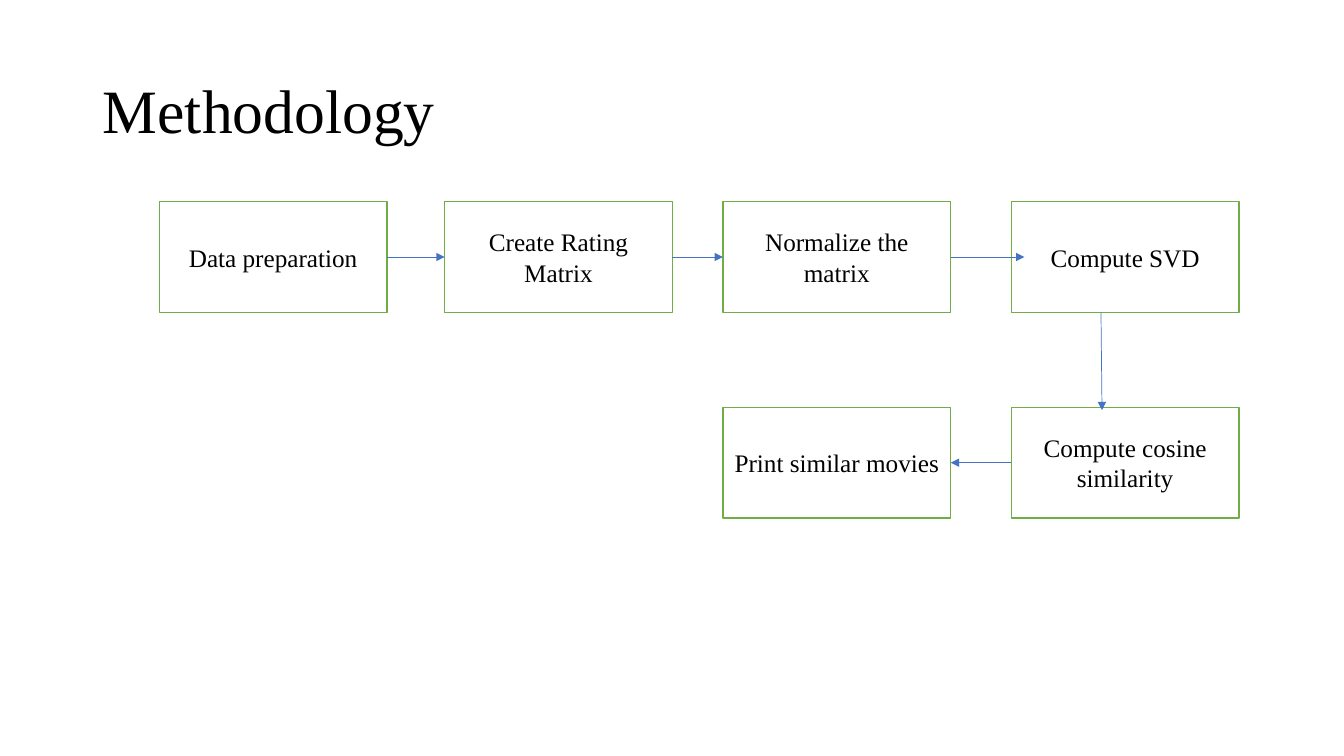
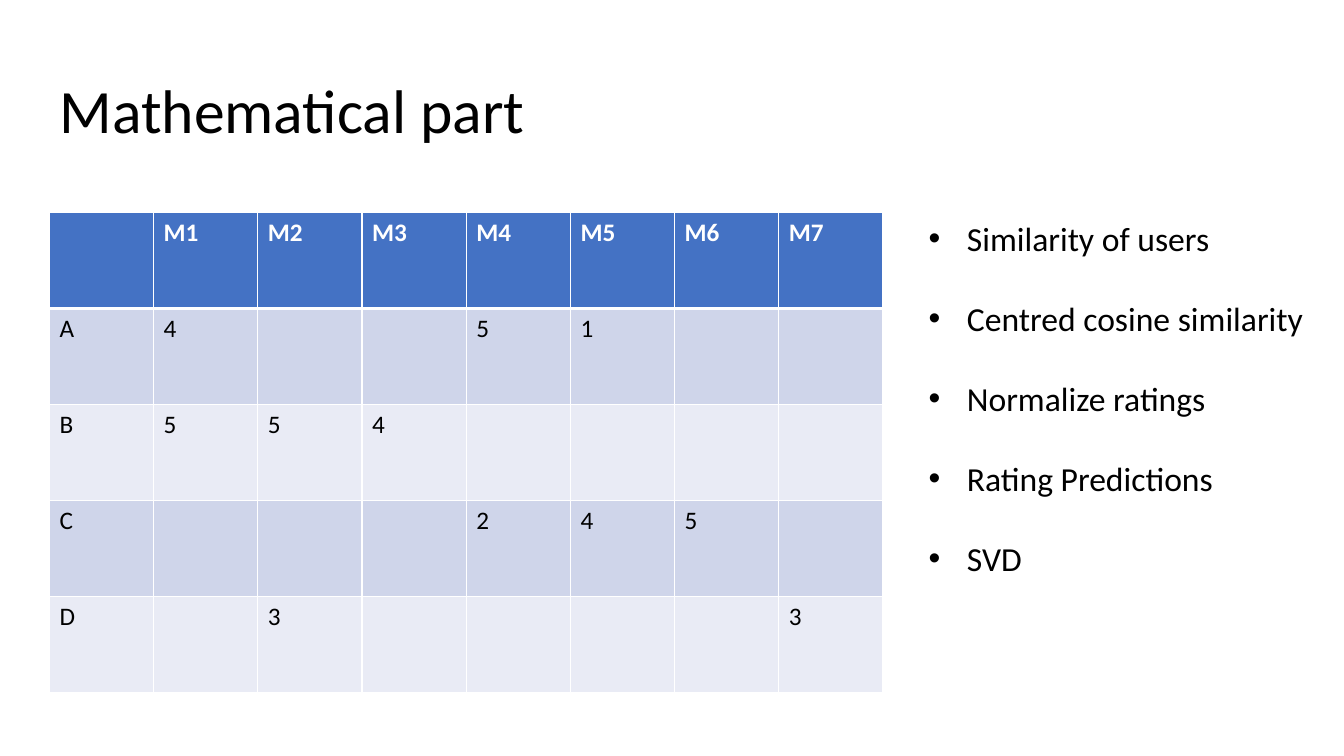
from typing import NamedTuple

from lxml import etree
from pptx import Presentation
from pptx.dml.color import RGBColor
from pptx.enum.shapes import MSO_CONNECTOR, MSO_SHAPE
from pptx.enum.text import MSO_ANCHOR, MSO_AUTO_SIZE, PP_ALIGN
from pptx.oxml.ns import qn
from pptx.util import Inches, Pt

RECTANGLE = MSO_SHAPE.RECTANGLE
STRAIGHT = MSO_CONNECTOR.STRAIGHT
LEFT, CENTER = PP_ALIGN.LEFT, PP_ALIGN.CENTER
TOP, MIDDLE = MSO_ANCHOR.TOP, MSO_ANCHOR.MIDDLE
NO_AUTOFIT = MSO_AUTO_SIZE.NONE
TITLE_ONLY, TITLE_AND_CONTENT = 5, 1

# Shared style
SERIF, SANS = "Times New Roman", "Calibri"
BLACK, WHITE, BLUE, GREEN = "000000", "FFFFFF", "4472C4", "70AD47"
BANDS = ("CFD5EA", "E9EBF5")
TITLE_TOP, TITLE_HEIGHT = 0.4, 1.45

# Flow chart grid
STEP_WIDTH, STEP_HEIGHT = 2.26, 1.1
COLUMNS = (1.58, 4.41, 7.17, 10.03)
ROWS = (2.0, 4.04)
UPPER, LOWER = (top + STEP_HEIGHT / 2 for top in ROWS)


class Step(NamedTuple):
    text: str
    column: int
    row: int


class Arrow(NamedTuple):
    x1: float
    y1: float
    x2: float
    y2: float


STEPS = (
    Step("Data preparation", 0, 0),
    Step("Create Rating Matrix", 1, 0),
    Step("Normalize the matrix", 2, 0),
    Step("Compute SVD", 3, 0),
    Step("Compute cosine similarity", 3, 1),
    Step("Print similar movies", 2, 1),
)
ARROWS = (
    Arrow(COLUMNS[0] + STEP_WIDTH, UPPER, COLUMNS[1], UPPER),
    Arrow(COLUMNS[1] + STEP_WIDTH, UPPER, COLUMNS[2], UPPER),
    Arrow(COLUMNS[2] + STEP_WIDTH, UPPER, 10.16, UPPER),
    Arrow(10.92, ROWS[0] + STEP_HEIGHT, 10.93, 4.07),
    Arrow(COLUMNS[3], LOWER, COLUMNS[2] + STEP_WIDTH, LOWER),
)
RATINGS = (
    ("", "M1", "M2", "M3", "M4", "M5", "M6", "M7"),
    ("A", "4", "", "", "5", "1", "", ""),
    ("B", "5", "5", "4", "", "", "", ""),
    ("C", "", "", "", "2", "4", "5", ""),
    ("D", "", "3", "", "", "", "", "3"),
)
TOPICS = ("Similarity of users", "Centred cosine similarity",
          "Normalize ratings", "Rating Predictions", "SVD")


def color(value: str) -> RGBColor:
    return RGBColor.from_string(value)


def set_font(para, name: str, size: float, hex_color: str = BLACK,
             bold: bool = False) -> None:
    font = para.font
    font.name, font.size, font.bold = name, Pt(size), bold
    font.color.rgb = color(hex_color)


def place(shape, left: float, top: float, width: float, height: float) -> None:
    shape.left, shape.top = Inches(left), Inches(top)
    shape.width, shape.height = Inches(width), Inches(height)


def add_page(deck, layout: int, title: str, font: str, left: float, width: float):
    """Add a slide whose title follows the common title style."""
    page = deck.slides.add_slide(deck.slide_layouts[layout])
    box = page.shapes.title
    place(box, left, TITLE_TOP, width, TITLE_HEIGHT)
    frame = box.text_frame
    frame.text = title
    frame.auto_size, frame.vertical_anchor = NO_AUTOFIT, MIDDLE
    para = frame.paragraphs[0]
    para.alignment, para.line_spacing = LEFT, 0.9
    set_font(para, font, 44)
    return page


def add_step(page, step: Step) -> None:
    box = page.shapes.add_shape(
        RECTANGLE, Inches(COLUMNS[step.column]), Inches(ROWS[step.row]),
        Inches(STEP_WIDTH), Inches(STEP_HEIGHT))
    box.shadow.inherit = False
    box.fill.solid()
    box.fill.fore_color.rgb = color(WHITE)
    box.line.color.rgb = color(GREEN)
    box.line.width = Pt(1)
    frame = box.text_frame
    frame.text = step.text
    frame.word_wrap, frame.vertical_anchor = True, MIDDLE
    para = frame.paragraphs[0]
    para.alignment = CENTER
    set_font(para, SERIF, 18)


def add_arrow(page, arrow: Arrow) -> None:
    connector = page.shapes.add_connector(STRAIGHT, *map(Inches, arrow))
    connector.line.color.rgb = color(BLUE)
    connector.line.width = Pt(0.5)
    line = connector.line._get_or_add_ln()
    etree.SubElement(line, qn("a:tailEnd"), type="triangle")
    etree.SubElement(connector._element.spPr, qn("a:effectLst"))


def set_borders(cell, top: float, bottom: float) -> None:
    """Draw white borders; must run before the cell is filled."""
    properties = cell._tc.get_or_add_tcPr()
    for side, width in (("L", 1), ("R", 1), ("T", top), ("B", bottom)):
        line = etree.SubElement(properties, qn(f"a:ln{side}"), w=str(Pt(width)))
        fill = etree.SubElement(line, qn("a:solidFill"))
        etree.SubElement(fill, qn("a:srgbClr"), val=WHITE)


def add_ratings(page) -> None:
    table = page.shapes.add_table(
        len(RATINGS), len(RATINGS[0]), Inches(0.49), Inches(2.11),
        Inches(8.27), Inches(4.76)).table
    for row, values in enumerate(RATINGS):
        header = row == 0
        for column, value in enumerate(values):
            cell = table.cell(row, column)
            set_borders(cell, top=3 if row == 1 else 1, bottom=3 if header else 1)
            cell.fill.solid()
            cell.fill.fore_color.rgb = color(BLUE if header else BANDS[(row - 1) % 2])
            cell.text = value
            set_font(cell.text_frame.paragraphs[0], SANS, 18,
                     WHITE if header else BLACK, header)


def add_topics(page) -> None:
    body = page.placeholders[1]
    place(body, 9.11, 2.11, 4.01, 3.74)
    frame = body.text_frame
    frame.text = "\n".join(TOPICS)
    frame.word_wrap, frame.auto_size = True, NO_AUTOFIT
    frame.vertical_anchor = TOP
    for para in frame.paragraphs:
        para.space_before, para.space_after = Pt(0), Pt(28.4)
        set_font(para, SANS, 24)
        properties = para._p.get_or_add_pPr()
        properties.set("marL", str(Inches(0.38)))
        properties.set("indent", str(-Inches(0.38)))


def main() -> None:
    deck = Presentation()
    deck.slide_width, deck.slide_height = Inches(13.33), Inches(7.5)

    # Methodology flow chart
    page = add_page(deck, TITLE_ONLY, "Methodology", SERIF, 0.92, 11.5)
    for step in STEPS:
        add_step(page, step)
    for arrow in ARROWS:
        add_arrow(page, arrow)

    # Ratings table and topics
    page = add_page(deck, TITLE_AND_CONTENT, "Mathematical part", SANS, 0.49, 11.92)
    add_ratings(page)
    add_topics(page)

    deck.save("out.pptx")


if __name__ == "__main__":
    main()
